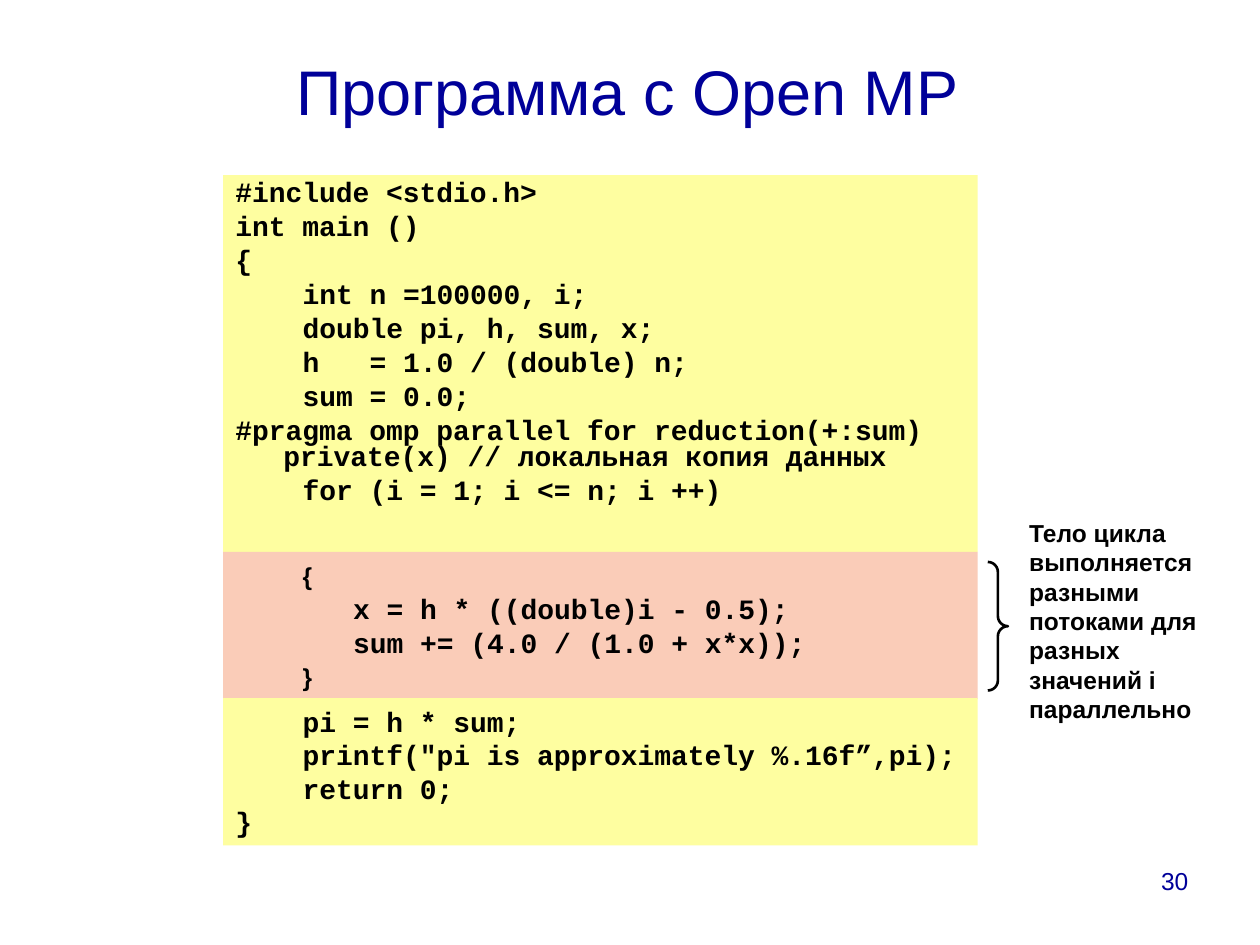
from pptx import Presentation
from pptx.dml.color import RGBColor as Rgb
from pptx.enum.shapes import MSO_SHAPE as Shape
from pptx.enum.text import MSO_ANCHOR as Anchor, PP_ALIGN as Align
from pptx.util import Inches, Pt

COLORS = {"navy": "000099", "ink": "000000", "yellow": "FEFEA0", "salmon": "FACCB8"}
CODE, PROSE = "Courier New", "Arial"

deck = Presentation()
deck.slide_width, deck.slide_height = Inches(10), Inches(7.5)
slide = deck.slides.add_slide(deck.slide_layouts[6])
COL, ROW = deck.slide_width / 100, deck.slide_height / 75
CHAR = Pt(16 * 0.6)


def place(left, top, width, height):
    return [round(v) for v in (left * COL, top * ROW, width * COL, height * ROW)]


def add_run(paragraph, text, size, font, color, bold=True):
    run = paragraph.add_run()
    run.text = text
    run.font.size, run.font.name, run.font.bold = Pt(size), font, bold
    run.font.color.rgb = Rgb.from_string(COLORS[color])


labels = [
    ("Программа с Open MP", (0.8, -0.3, 98, 15), 36, "navy", False, Align.CENTER, Anchor.MIDDLE, 0),
    ("Тело цикла выполняется разными потоками для разных значений i параллельно",
     (80.7, 40.6, 15.7, 17.4), 14, "ink", True, Align.LEFT, Anchor.TOP, 8.8),
    ("30", (72, 68.2, 23.3, 5.2), 14, "navy", False, Align.RIGHT, Anchor.TOP, 0),
]
for text, box, size, color, bold, align, anchor, gap in labels:
    frame = slide.shapes.add_textbox(*place(*box)).text_frame
    frame.word_wrap, frame.vertical_anchor = True, anchor
    label = frame.paragraphs[0]
    label.alignment, label.space_before = align, Pt(gap)
    add_run(label, text, size, PROSE, color, bold)

setup_code = [
    (0, "#include <stdio.h>"),
    (0, "int main ()"),
    (0, "{"),
    (4, "int n =100000, i;"),
    (4, "double pi, h, sum, x;"),
    (4, "h   = 1.0 / (double) n;"),
    (4, "sum = 0.0;"),
    (0, "#pragma omp parallel for reduction(+:sum) private(x) // локальная копия данных"),
    (4, "for (i = 1; i <= n; i ++)"),
]
loop_code = [
    (4, "{"),
    (7, "x = h * ((double)i - 0.5);"),
    (7, "sum += (4.0 / (1.0 + x*x));"),
    (4, "}"),
]
result_code = [
    (4, "pi = h * sum;"),
    (4, 'printf("pi is approximately %.16f”,pi);'),
    (4, "return 0;"),
    (0, "}"),
]
panels = [
    (13.9, 29.9, "yellow", 0.8, 4, setup_code),
    (43.8, 11.7, "salmon", 1.0, 0, loop_code),
    (55.4, 11.7, "yellow", 1.0, 0, result_code),
]
for top, height, fill, spacing, gap, code in panels:
    panel = slide.shapes.add_shape(Shape.RECTANGLE, *place(17.7, top, 59.9, height))
    panel.shadow.inherit = False
    panel.fill.solid()
    panel.fill.fore_color.rgb = Rgb.from_string(COLORS[fill])
    panel.line.fill.background()
    frame = panel.text_frame
    frame.word_wrap, frame.vertical_anchor = True, Anchor.TOP
    for number, (indent, text) in enumerate(code):
        line = frame.add_paragraph() if number else frame.paragraphs[0]
        line.alignment = Align.LEFT
        line.line_spacing, line.space_before = spacing, Pt(gap)
        hanging = 0 if indent else Inches(0.38)
        margins = line._p.get_or_add_pPr()
        margins.set("marL", str(indent * CHAR + hanging))
        margins.set("indent", str(-hanging))
        if code is loop_code and text in "{}":
            add_run(line, text, 14, PROSE, "ink")
            add_run(line, " ", 16, CODE, "ink")
        else:
            add_run(line, text, 16, CODE, "ink")

brace = slide.shapes.add_shape(Shape.RIGHT_BRACE, *place(78.4, 44.6, 1.6, 10.2))
brace.shadow.inherit = False
brace.adjustments[0] = brace.adjustments[1] = 0.5
brace.fill.background()
brace.line.color.rgb = Rgb.from_string(COLORS["ink"])
brace.line.width = Pt(1.5)

deck.save("out.pptx")
